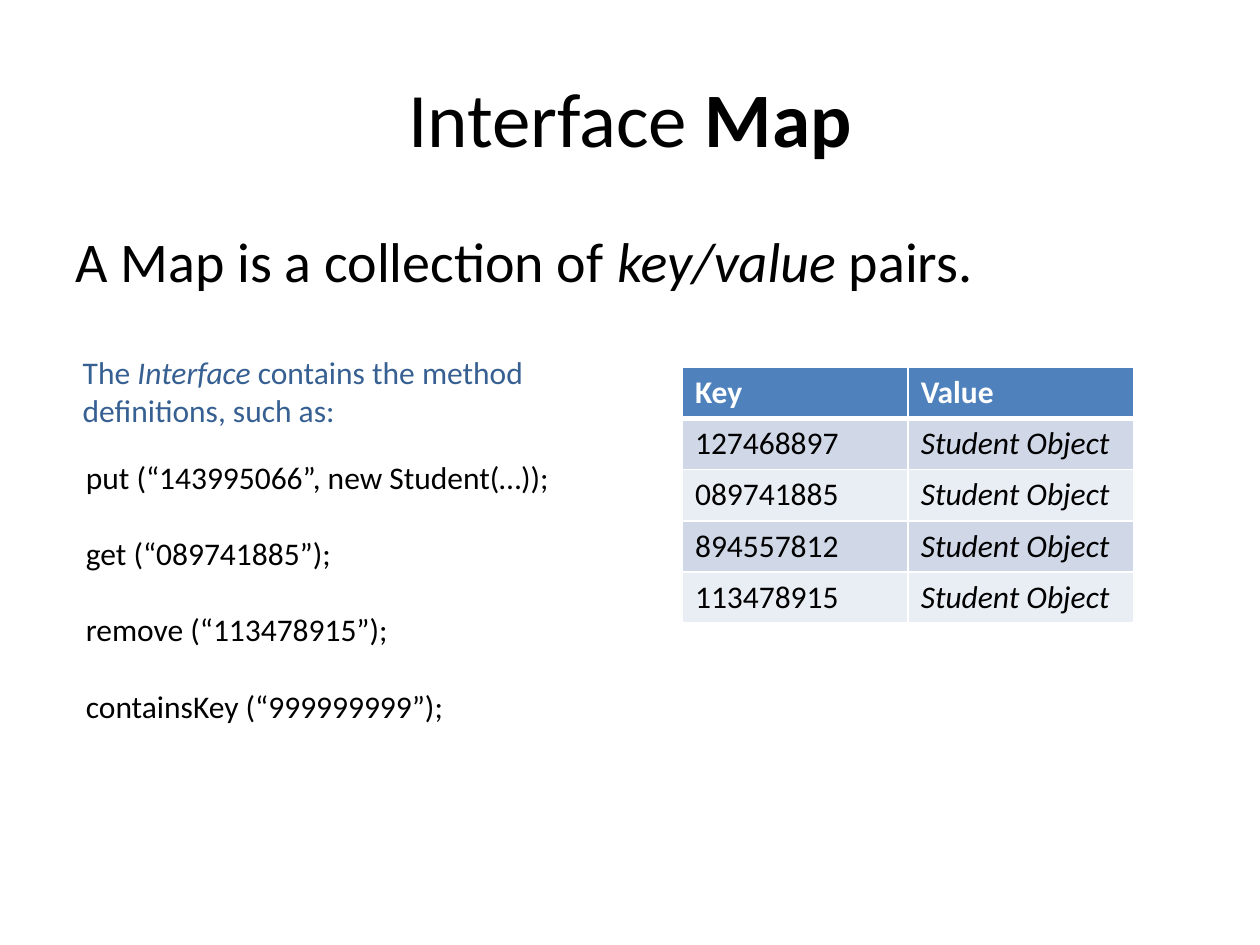
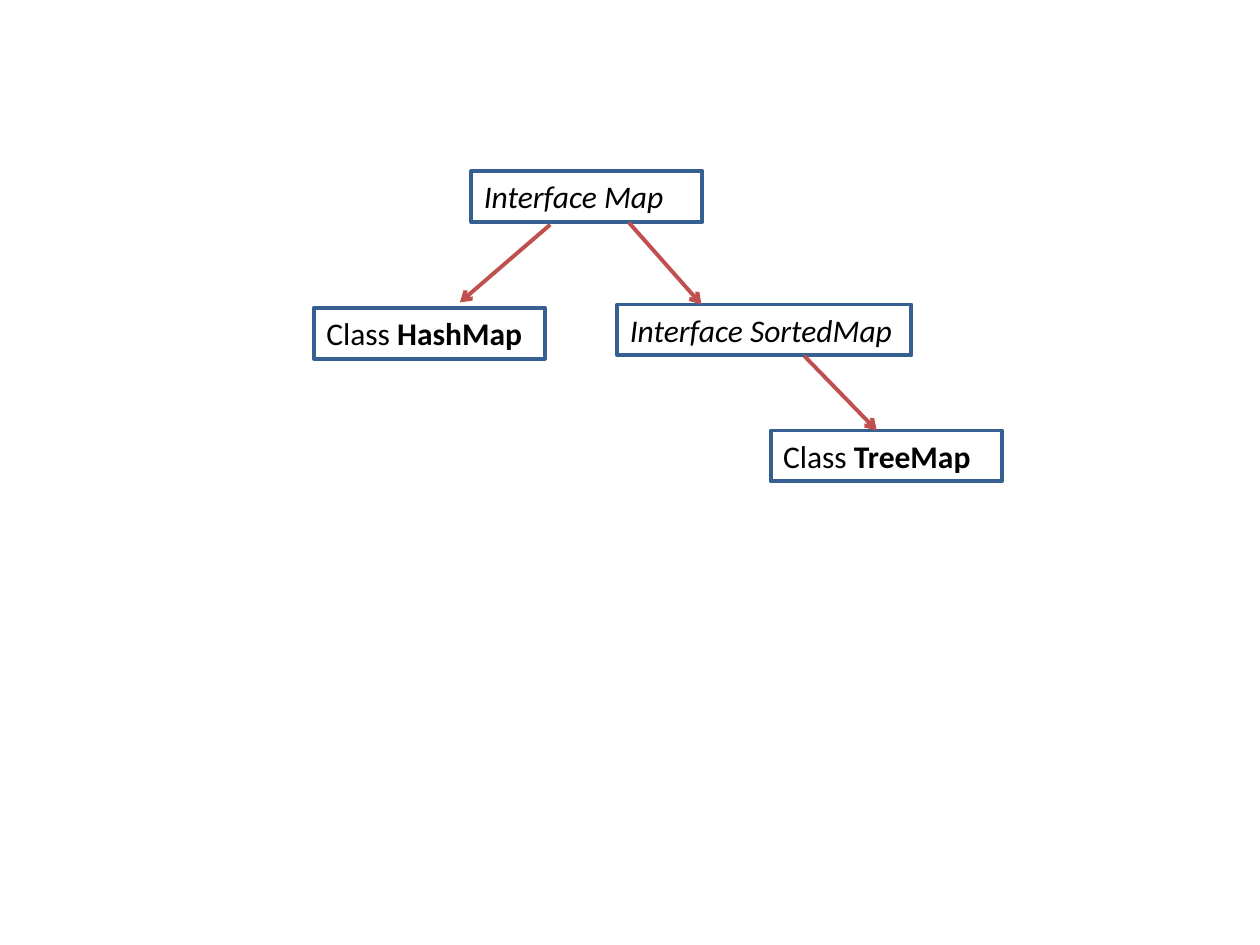
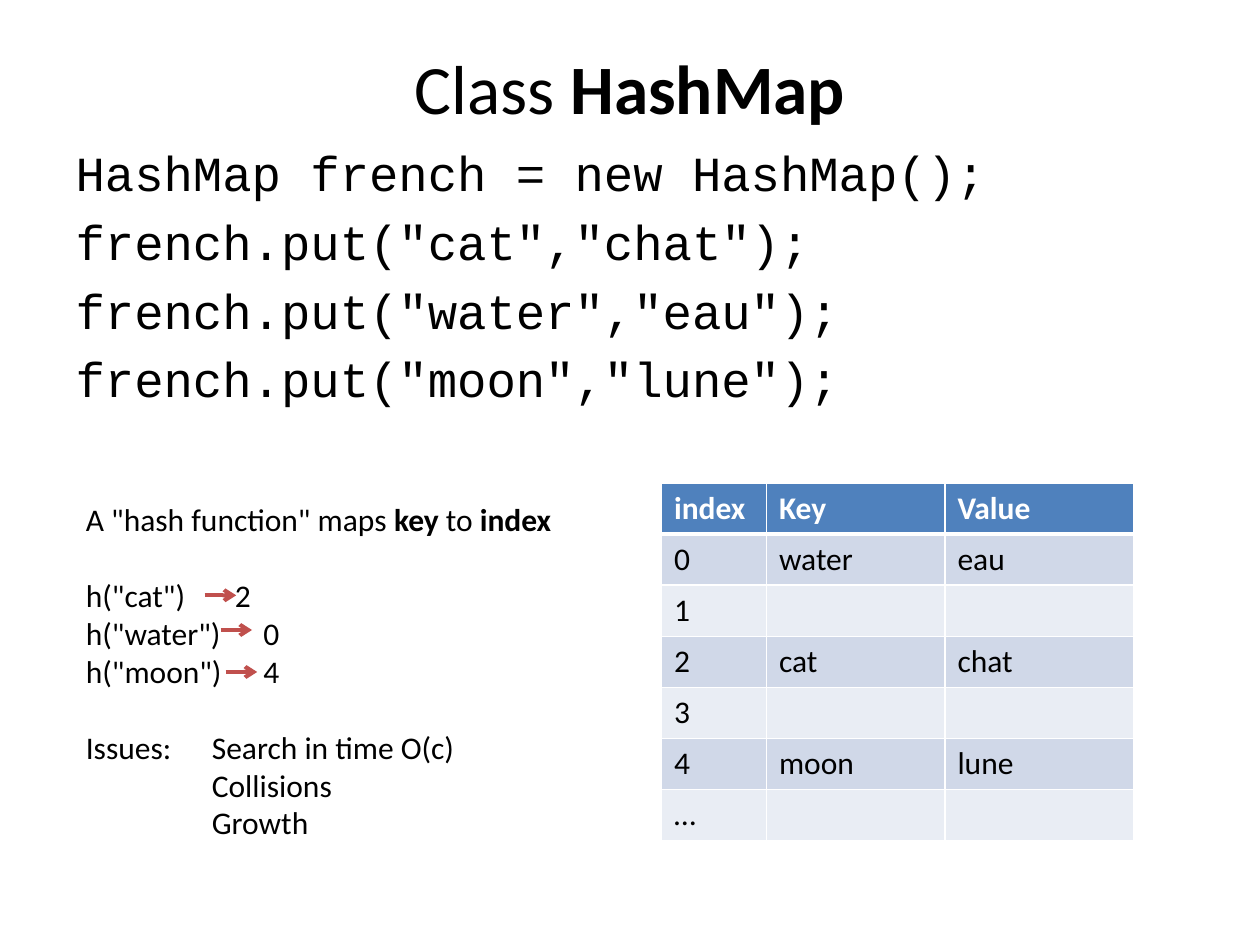
from dataclasses import dataclass
from typing import Any, NamedTuple, Sequence

import lxml.etree
import pptx
import pptx.dml.color
import pptx.enum.shapes
import pptx.enum.text
import pptx.oxml.ns
import pptx.util

RGBColor = pptx.dml.color.RGBColor
BLACK = RGBColor(0x00, 0x00, 0x00)
WHITE = RGBColor(0xFF, 0xFF, 0xFF)
HEADER_BLUE = RGBColor(0x4F, 0x81, 0xBD)
DEEP_BLUE = RGBColor(0x37, 0x60, 0x92)
ARROW_RED = RGBColor(0xC0, 0x50, 0x4D)
BANDS = (RGBColor(0xD0, 0xD8, 0xE8), RGBColor(0xE9, 0xED, 0xF4))

COLS, ROWS = 120, 90
TABLE_ROW = 4.87
BOX_ROWS = 4.85
LINE_GAP = 22
LINE_WIDTH = pptx.util.Pt(2.25)

SANS = "Calibri"
MONO = "Courier New"
MIDDLE = pptx.enum.text.MSO_ANCHOR.MIDDLE
TOP = pptx.enum.text.MSO_ANCHOR.TOP
NO_FIT = pptx.enum.text.MSO_AUTO_SIZE.NONE
GROW = pptx.enum.text.MSO_AUTO_SIZE.SHAPE_TO_FIT_TEXT
CENTER = pptx.enum.text.PP_ALIGN.CENTER
LEFT = pptx.enum.text.PP_ALIGN.LEFT


class Run(NamedTuple):
    text: str
    bold: bool = False
    italic: bool = False


class Area(NamedTuple):
    col: float
    row: float
    cols: float
    rows: float


class Arrow(NamedTuple):
    col: float
    row: float
    to_col: float
    to_row: float


@dataclass(frozen=True)
class Para:
    runs: Sequence[Run]
    gap: float | None = None
    tab: float | None = None


@dataclass(frozen=True)
class TextStyle:
    size: float = 18
    color: RGBColor = BLACK
    font: str = SANS


@dataclass(frozen=True)
class Node:
    area: Area
    runs: Sequence[Run]


prs = pptx.Presentation()
prs.slide_width, prs.slide_height = pptx.util.Inches(10), pptx.util.Inches(7.5)


def x(cols: float) -> int:
    return round(prs.slide_width * cols / COLS)


def y(rows: float) -> int:
    return round(prs.slide_height * rows / ROWS)


def bounds(area: Area) -> tuple[int, int, int, int]:
    return x(area.col), y(area.row), x(area.cols), y(area.rows)


def apply(obj: Any, formats: dict[str, Any]) -> None:
    for name, value in formats.items():
        setattr(obj, name, value)


def child(parent: Any, tag: str, **attrs: str) -> Any:
    return lxml.etree.SubElement(parent, pptx.oxml.ns.qn(tag), attrs)


def plain(text: str, gap: float | None = None, tab: float | None = None) -> Para:
    return Para([Run(text)], gap, tab)


def write(tf: Any, paras: Sequence[Para], style: TextStyle = TextStyle()) -> None:
    for i, para in enumerate(paras):
        p = tf.paragraphs[0] if i == 0 else tf.add_paragraph()
        if para.gap is not None:
            p.space_before = pptx.util.Pt(para.gap)
        if para.tab is not None:
            tabs = child(p._p.get_or_add_pPr(), "a:tabLst")
            child(tabs, "a:tab", pos=str(x(para.tab)), algn="l")
        for run in para.runs:
            r = p.add_run()
            r.text = run.text
            apply(r.font, {
                "name": style.font,
                "size": pptx.util.Pt(style.size),
                "bold": run.bold,
                "italic": run.italic,
            })
            r.font.color.rgb = style.color


def fill_placeholder(sp: Any, area: Area, paras: Sequence[Para], style: TextStyle) -> None:
    apply(sp, dict(zip(("left", "top", "width", "height"), bounds(area))))
    apply(sp.text_frame, {"word_wrap": True, "auto_size": NO_FIT})
    write(sp.text_frame, paras, style)


def add_title(slide: Any, area: Area, runs: Sequence[Run], size: float) -> None:
    sp = slide.shapes.title
    fill_placeholder(sp, area, [Para(runs)], TextStyle(size))
    sp.text_frame.vertical_anchor = MIDDLE
    sp.text_frame.paragraphs[0].alignment = CENTER


def add_body(slide: Any, area: Area, paras: Sequence[Para], style: TextStyle) -> None:
    sp = slide.placeholders[1]
    fill_placeholder(sp, area, paras, style)
    for p in sp.text_frame.paragraphs:
        pPr = p._p.get_or_add_pPr()
        pPr.set("marL", "0")
        pPr.set("indent", "0")
        child(pPr, "a:buNone")


def add_text(slide: Any, area: Area, paras: Sequence[Para], style: TextStyle = TextStyle()) -> None:
    tf = slide.shapes.add_textbox(*bounds(area)).text_frame
    apply(tf, {"word_wrap": True, "auto_size": GROW})
    write(tf, paras, style)


def add_node(slide: Any, node: Node) -> None:
    sp = slide.shapes.add_shape(pptx.enum.shapes.MSO_SHAPE.RECTANGLE, *bounds(node.area))
    sp.shadow.inherit = False
    sp.fill.background()
    sp.line.color.rgb = DEEP_BLUE
    sp.line.width = LINE_WIDTH
    tf = sp.text_frame
    apply(tf, {"word_wrap": True, "vertical_anchor": TOP, "auto_size": GROW})
    write(tf, [Para(node.runs)])
    tf.paragraphs[0].alignment = LEFT


def add_arrow(slide: Any, arrow: Arrow) -> None:
    line = slide.shapes.add_connector(
        pptx.enum.shapes.MSO_CONNECTOR.STRAIGHT,
        x(arrow.col), y(arrow.row), x(arrow.to_col), y(arrow.to_row),
    )
    line.line.color.rgb = ARROW_RED
    line.line.width = LINE_WIDTH
    child(line.line._get_or_add_ln(), "a:tailEnd", type="arrow")
    child(line._element.spPr, "a:effectLst")


def set_borders(cell: Any, header: bool) -> None:
    tcPr = cell._tc.get_or_add_tcPr()
    for i, side in enumerate("LRTB"):
        width = pptx.util.Pt(3 if header and side == "B" else 1)
        ln = child(tcPr, f"a:ln{side}", w=str(width))
        child(child(ln, "a:solidFill"), "a:srgbClr", val=str(WHITE))
        tcPr.insert(i, ln)


def add_grid(slide: Any, col: float, row: float, widths: Sequence[float],
             rows: Sequence[Sequence[str]], italic_cols: Sequence[int] = ()) -> None:
    area = Area(col, row, sum(widths), TABLE_ROW * len(rows))
    table = slide.shapes.add_table(len(rows), len(widths), *bounds(area)).table
    for column, width in zip(table.columns, widths):
        column.width = x(width)
    for i, texts in enumerate(rows):
        header = i == 0
        table.rows[i].height = y(TABLE_ROW)
        style = TextStyle(color=WHITE if header else BLACK)
        for j, text in enumerate(texts):
            cell = table.cell(i, j)
            cell.fill.solid()
            cell.fill.fore_color.rgb = HEADER_BLUE if header else BANDS[(i - 1) % 2]
            set_borders(cell, header)
            if text:
                run = Run(text, bold=header, italic=not header and j in italic_cols)
                write(cell.text_frame, [Para([run])], style)


def build_map_slide() -> None:
    slide = prs.slides.add_slide(prs.slide_layouts[1])
    add_title(slide, Area(6, 3.6, 108, 15), [Run("Interface "), Run("Map", bold=True)], 44)
    add_body(slide, Area(6, 21, 108, 10), [Para([
        Run("A Map is a collection of "), Run("key/value", italic=True), Run(" pairs."),
    ])], TextStyle(32))
    keys = ("127468897", "089741885", "894557812", "113478915")
    add_grid(slide, 65, 35, (21.5, 21.5),
             [("Key", "Value"), *((key, "Student Object") for key in keys)], italic_cols=(1,))
    calls = (
        "put (“143995066”, new Student(…));",
        "get (“089741885”);",
        "remove (“113478915”);",
        "containsKey (“999999999”);",
    )
    add_text(slide, Area(7, 43, 54, 26.6),
             [plain(call, gap=LINE_GAP if i else None) for i, call in enumerate(calls)])
    add_text(slide, Area(6.7, 33, 52, 8.5), [Para([
        Run("The "), Run("Interface ", italic=True),
        Run("contains the method definitions, such as:"),
    ])], TextStyle(color=DEEP_BLUE))


def build_hierarchy_slide() -> None:
    slide = prs.slides.add_slide(prs.slide_layouts[6])
    nodes = (
        Node(Area(44.9, 16.3, 22, BOX_ROWS), [Run("Interface Map", italic=True)]),
        Node(Area(58.8, 29, 28, BOX_ROWS), [Run("Interface SortedMap", italic=True)]),
        Node(Area(29.9, 29.3, 22, BOX_ROWS), [Run("Class "), Run("HashMap", bold=True)]),
        Node(Area(73.4, 41, 22, BOX_ROWS), [Run("Class "), Run("TreeMap", bold=True)]),
    )
    arrows = (
        Arrow(59.9, 21.2, 66.8, 29),
        Arrow(76.6, 33.9, 83.5, 41),
        Arrow(52.4, 21.4, 43.8, 28.8),
    )
    for node in nodes:
        add_node(slide, node)
    for arrow in arrows:
        add_arrow(slide, arrow)


def build_hash_map_slide() -> None:
    slide = prs.slides.add_slide(prs.slide_layouts[1])
    add_title(slide, Area(6, 3.6, 108, 9.4), [Run("Class "), Run("HashMap", bold=True)], 39.6)
    words = (("cat", "chat"), ("water", "eau"), ("moon", "lune"))
    code = ["HashMap french = new HashMap();"]
    code += [f'french.put("{key}","{value}");' for key, value in words]
    add_body(slide, Area(6, 13, 108, 28), [plain(line) for line in code], TextStyle(28, font=MONO))
    add_grid(slide, 63, 46, (10, 17, 18), (
        ("index", "Key", "Value"),
        ("0", "water", "eau"),
        ("1", "", ""),
        ("2", "cat", "chat"),
        ("3", "", ""),
        ("4", "moon", "lune"),
        ("…", "", ""),
    ))
    add_text(slide, Area(7, 47, 48, 34), [
        Para([Run('A "hash function" maps '), Run("key", bold=True),
              Run(" to "), Run("index", bold=True)]),
        plain('h("cat")\t2', gap=LINE_GAP, tab=14.2),
        plain('h("water")\t0', tab=16.9),
        plain('h("moon")\t4', tab=16.9),
        plain("Issues:\tSearch in time O(c)", gap=LINE_GAP, tab=12),
        plain("\tCollisions", tab=12),
        plain("\tGrowth", tab=12),
    ])
    for col, row in ((19.5, 56.7), (21, 60), (21.5, 64)):
        add_arrow(slide, Arrow(col, row, col + 3, row))


build_map_slide()
build_hierarchy_slide()
build_hash_map_slide()
prs.save("out.pptx")
